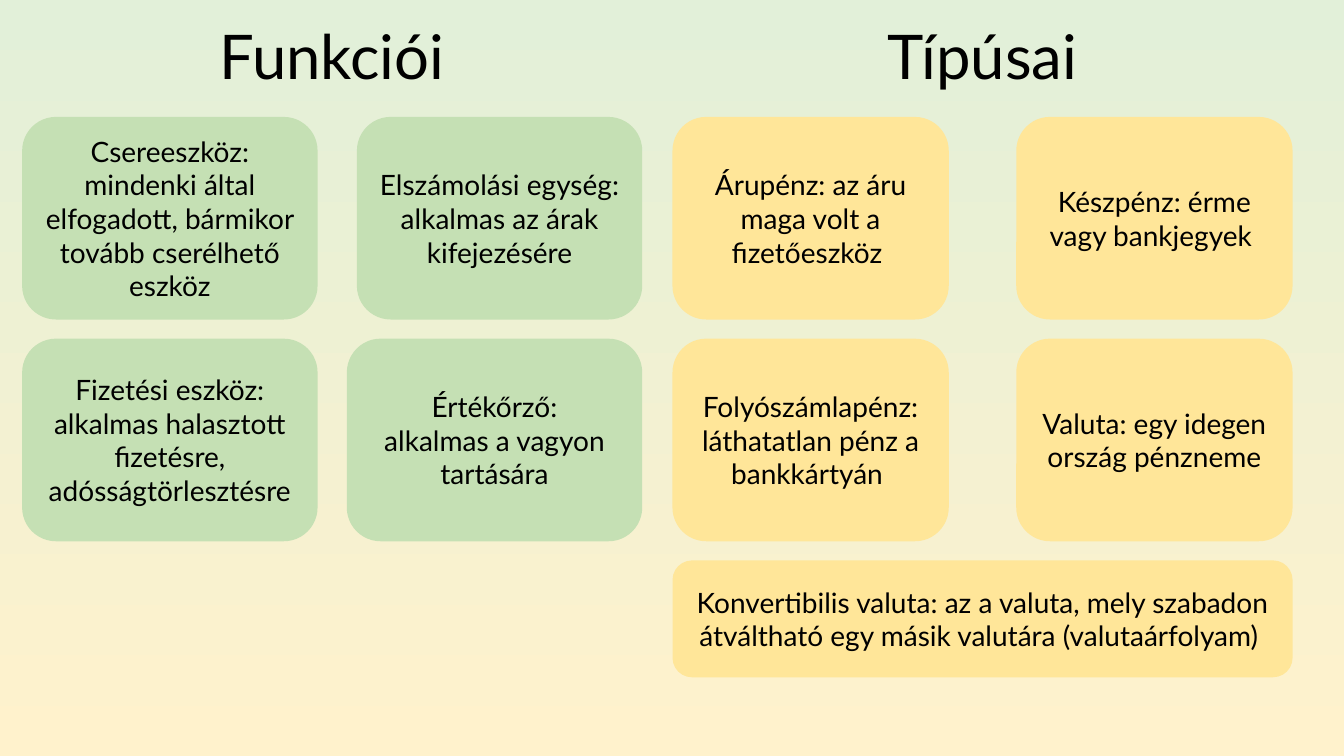
"""Build a slide on the functions and types of money."""
import pptx
import pptx.util
import pptx.dml.color
import pptx.enum.shapes
import pptx.enum.text

Inches = pptx.util.Inches
RGBColor = pptx.dml.color.RGBColor
BLACK = RGBColor(0x00, 0x00, 0x00)
GREEN = RGBColor(0xC5, 0xE0, 0xB4)
YELLOW = RGBColor(0xFF, 0xE6, 0x99)
PALE_GREEN = RGBColor(0xE2, 0xF0, 0xD9)
PALE_YELLOW = RGBColor(0xFF, 0xF2, 0xCC)

LEFT_HALF, RIGHT_HALF, HALF_WIDTH = 0.22, 6.67, 6.15
ROW_TOP, ROW_STEP, CARD_HEIGHT = 1.16, 2.2, 2.01


def style_text(frame, size):
    frame.word_wrap = True
    for para in frame.paragraphs:
        para.alignment = pptx.enum.text.PP_ALIGN.CENTER
        para.font.name = "Lato"
        para.font.size = pptx.util.Pt(size)
        para.font.bold = False
        para.font.color.rgb = BLACK


deck = pptx.Presentation()
deck.slide_width, deck.slide_height = Inches(13.33), Inches(7.5)
comparison_layout = deck.slide_layouts[4]
page = deck.slides.add_slide(comparison_layout)

backdrop = page.background.fill
backdrop.gradient()
backdrop.gradient_angle = 270
for stop, color in zip(backdrop.gradient_stops, (PALE_GREEN, PALE_YELLOW)):
    stop.color.rgb = color

headings = {1: ("Funkciói", LEFT_HALF), 3: ("Típúsai", RIGHT_HALF)}
for holder in list(page.placeholders):
    index = holder.placeholder_format.idx
    if index not in headings:
        holder.element.getparent().remove(holder.element)
        continue
    text, left = headings[index]
    holder.left, holder.top = Inches(left), Inches(0.07)
    holder.width, holder.height = Inches(HALF_WIDTH), Inches(0.9)
    frame = holder.text_frame
    frame.text = text
    frame.vertical_anchor = pptx.enum.text.MSO_ANCHOR.BOTTOM
    frame.paragraphs[0].line_spacing = 0.9
    frame.paragraphs[0].space_before = pptx.util.Pt(0)
    style_text(frame, 44)

cards = [
    (RIGHT_HALF, 0, 2.74, CARD_HEIGHT, YELLOW, "Árupénz: az áru maga volt a fizetőeszköz "),
    (RIGHT_HALF, 1, 2.74, CARD_HEIGHT, YELLOW, "Folyószámlapénz: láthatatlan pénz a bankkártyán "),
    (10.08, 0, 2.74, CARD_HEIGHT, YELLOW, "Készpénz: érme vagy bankjegyek "),
    (10.08, 1, 2.74, CARD_HEIGHT, YELLOW, "Valuta: egy idegen ország pénzneme"),
    (RIGHT_HALF, 2, HALF_WIDTH, 1.16, YELLOW,
     "Konvertibilis valuta: az a valuta, mely szabadon átváltható egy másik valutára (valutaárfolyam) "),
    (LEFT_HALF, 0, 2.93, CARD_HEIGHT, GREEN,
     "Csereeszköz: mindenki által elfogadott, bármikor tovább cserélhető eszköz"),
    (LEFT_HALF, 1, 2.93, CARD_HEIGHT, GREEN,
     "Fizetési eszköz: alkalmas halasztott fizetésre, adósságtörlesztésre"),
    (3.54, 0, 2.83, CARD_HEIGHT, GREEN, "Elszámolási egység: alkalmas az árak kifejezésére"),
    (3.44, 1, 2.93, CARD_HEIGHT, GREEN, "Értékőrző:\nalkalmas a vagyon tartására"),
]
for left, row, width, height, color, text in cards:
    card = page.shapes.add_shape(
        pptx.enum.shapes.MSO_SHAPE.ROUNDED_RECTANGLE,
        Inches(left), Inches(ROW_TOP + row * ROW_STEP), Inches(width), Inches(height))
    card.shadow.inherit = False
    card.fill.solid()
    card.fill.fore_color.rgb = color
    card.line.fill.background()
    card.text_frame.text = text
    card.text_frame.vertical_anchor = pptx.enum.text.MSO_ANCHOR.MIDDLE
    style_text(card.text_frame, 20)

deck.save("out.pptx")
